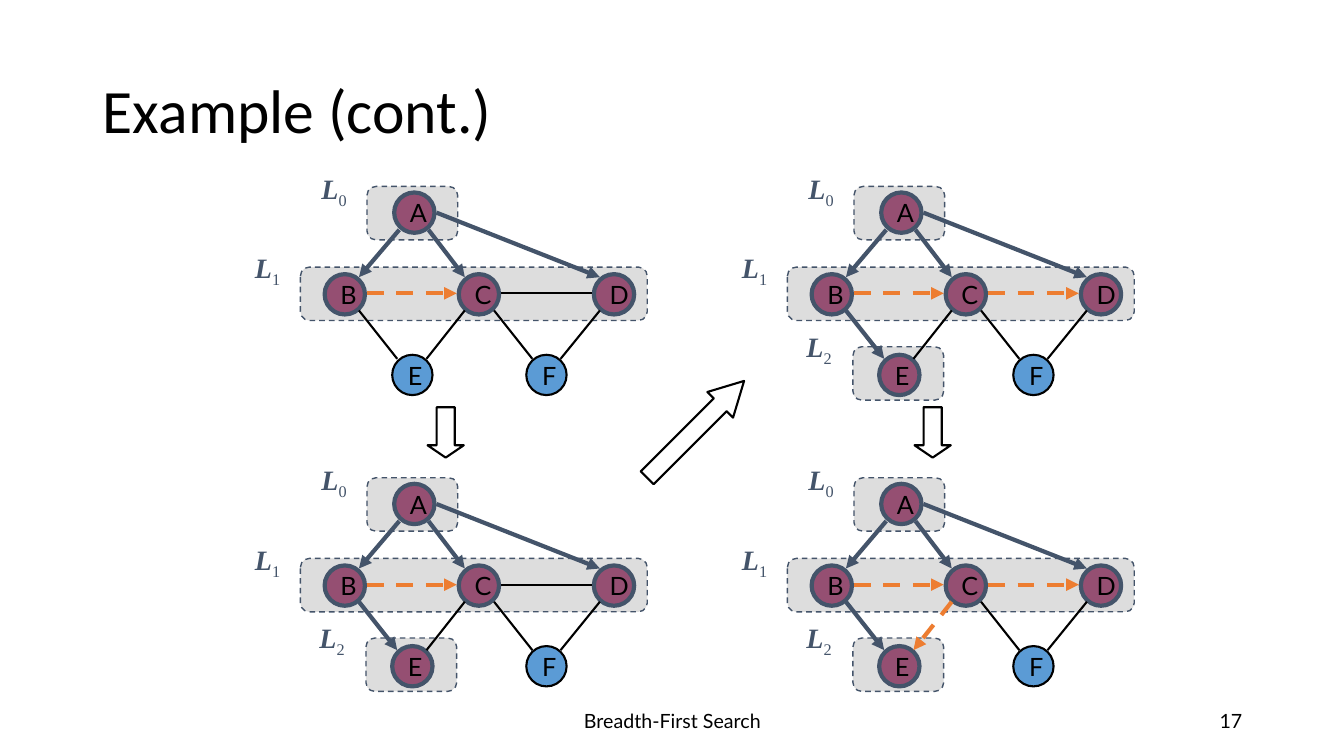
from lxml import etree
from pptx import Presentation
from pptx import util as u
from pptx.dml.color import RGBColor
from pptx.enum import dml, shapes, text
from pptx.oxml import ns

BLACK = RGBColor(0x00, 0x00, 0x00)
SLATE = RGBColor(0x44, 0x54, 0x6A)
ORANGE = RGBColor(0xED, 0x7D, 0x31)
PLUM = RGBColor(0x95, 0x4F, 0x72)
BLUE = RGBColor(0x5B, 0x9B, 0xD5)
GRAY = RGBColor(0xDD, 0xDD, 0xDD)

# Places in the first graph; the other graphs are shifted from it.
NODE_SIZE = 0.4
NODES = {"A": (3.91, 1.91), "B": (3.22, 2.72), "C": (4.55, 2.72),
         "D": (5.89, 2.72), "E": (3.89, 3.52), "F": (5.22, 3.52)}
EDGES = {
    "AB": (3.96, 2.28, 3.56, 2.75),
    "AC": (4.25, 2.28, 4.61, 2.75),
    "AD": (4.33, 2.11, 5.95, 2.75),
    "BC": (3.64, 2.91, 4.53, 2.91),
    "CD": (4.97, 2.91, 5.87, 2.91),
    "BE": (3.56, 3.08, 3.94, 3.56),
    "CE": (4.61, 3.08, 4.23, 3.56),
    "CF": (4.9, 3.08, 5.28, 3.56),
    "DF": (5.95, 3.08, 5.56, 3.56),
}
# Band left, top, width, then label left, top, for each level
LEVELS = [(3.64, 1.85, 0.9, 3.09, 1.65),
          (2.98, 2.65, 3.44, 2.43, 2.44),
          (3.63, 3.44, 0.9, 3.07, 3.22)]
BAND_HEIGHT = 0.53

COLUMN_STEP, ROW_STEP = 4.83, 2.89
# Column, row, discovery edges, cross edges
STEPS = [
    (0, 0, {"AB", "AC", "AD"}, {"BC"}),
    (0, 1, {"AB", "AC", "AD", "BE"}, {"BC"}),
    (1, 0, {"AB", "AC", "AD", "BE"}, {"BC", "CD"}),
    (1, 1, {"AB", "AC", "AD", "BE"}, {"BC", "CD", "CE"}),
]


class GraphSlide:
    title_font = {"name": "Calibri", "size": u.Pt(44)}
    footer_font = {"name": "Lato", "size": u.Pt(14)}
    node_font = {"name": "Lato", "size": u.Pt(18)}
    level_font = {"name": "Times New Roman", "size": u.Pt(20)}

    def __init__(self, deck):
        self.page = deck.slides.add_slide(deck.slide_layouts[5])

    def add_span(self, para, words, font, color=BLACK):
        span = para.add_run()
        span.text = words
        for name, value in font.items():
            setattr(span.font, name, value)
        span.font.color.rgb = color
        return span

    def outline(self, item, color, width, dash=None):
        item.line.color.rgb = color
        item.line.width = u.Pt(width)
        if dash:
            item.line.dash_style = dash

    def title(self, words, *place):
        box = self.page.shapes.title
        box.left, box.top, box.width, box.height = map(u.Inches, place)
        box.text_frame.vertical_anchor = text.MSO_ANCHOR.MIDDLE
        para = box.text_frame.paragraphs[0]
        para.alignment = text.PP_ALIGN.LEFT
        para.line_spacing = 0.9
        self.add_span(para, words, self.title_font)

    def footer(self, words, align, *place):
        box = self.page.shapes.add_textbox(*map(u.Inches, place))
        box.text_frame.word_wrap = True
        box.text_frame.vertical_anchor = text.MSO_ANCHOR.MIDDLE
        para = box.text_frame.paragraphs[0]
        para.alignment = align
        self.add_span(para, words, self.footer_font)

    def shape(self, holder, preset, fill, *place):
        box = holder.shapes.add_shape(preset, *map(u.Inches, place))
        box.shadow.inherit = False
        if fill is None:
            box.fill.background()
        else:
            box.fill.solid()
            box.fill.fore_color.rgb = fill
        return box

    def block_arrow(self, rotation, head, *place):
        arrow = self.shape(self.page, shapes.MSO_SHAPE.RIGHT_ARROW, None, *place)
        arrow.rotation = rotation
        arrow.adjustments[1] = head
        self.outline(arrow, BLACK, 1.5)

    def band(self, group, left, top, width):
        box = self.shape(group, shapes.MSO_SHAPE.ROUNDED_RECTANGLE, GRAY,
                         left, top, width, BAND_HEIGHT)
        self.outline(box, SLATE, 1, dml.MSO_LINE.DASH)

    def level_label(self, group, level, left, top):
        box = group.shapes.add_textbox(*map(u.Inches, (left, top, 0.51, 0.43)))
        box.text_frame.word_wrap = True
        box.text_frame.auto_size = text.MSO_AUTO_SIZE.SHAPE_TO_FIT_TEXT
        para = box.text_frame.paragraphs[0]
        self.add_span(para, "L", {**self.level_font, "bold": True, "italic": True}, SLATE)
        index = self.add_span(para, str(level), self.level_font, SLATE)
        index._r.get_or_add_rPr().set("baseline", "-25000")

    def node(self, group, letter, visited, left, top):
        circle = self.shape(group, shapes.MSO_SHAPE.OVAL, PLUM if visited else BLUE,
                            left, top, NODE_SIZE, NODE_SIZE)
        self.outline(circle, *((SLATE, 3) if visited else (BLACK, 1.5)))
        frame = circle.text_frame
        frame.word_wrap = False
        frame.vertical_anchor = text.MSO_ANCHOR.MIDDLE
        frame.paragraphs[0].alignment = text.PP_ALIGN.LEFT
        self.add_span(frame.paragraphs[0], letter, self.node_font)

    def edge(self, group, ends, color=BLACK, width=1.5, dash=None, arrow=False):
        line = group.shapes.add_connector(shapes.MSO_CONNECTOR.STRAIGHT,
                                          *map(u.Inches, ends))
        self.outline(line, color, width, dash)
        properties = line._element.spPr
        if arrow:
            etree.SubElement(properties.find(ns.qn("a:ln")), ns.qn("a:tailEnd"),
                             type="triangle")
        etree.SubElement(properties, ns.qn("a:effectLst"))

    def graph(self, column, row, discovery, cross):
        """Draw one step of the search at its place in the grid."""
        dx, dy = column * COLUMN_STEP, row * ROW_STEP
        group = self.page.shapes.add_group_shape()
        visited = {"A"} | {name[1] for name in discovery}
        levels = LEVELS if "E" in visited else LEVELS[:2]
        for left, top, width, *_ in levels:
            self.band(group, left + dx, top + dy, width)
        for letter, (left, top) in NODES.items():
            self.node(group, letter, letter in visited, left + dx, top + dy)
        for name, (x1, y1, x2, y2) in EDGES.items():
            look = {}
            if name in discovery:
                look = {"color": SLATE, "width": 3, "arrow": True}
            elif name in cross:
                look = {"color": ORANGE, "width": 3, "arrow": True,
                        "dash": dml.MSO_LINE.DASH}
            self.edge(group, (x1 + dx, y1 + dy, x2 + dx, y2 + dy), **look)
        for level, (*_, left, top) in enumerate(levels):
            self.level_label(group, level, left + dx, top + dy)


def main():
    deck = Presentation()
    deck.slide_width, deck.slide_height = u.Inches(13.33), u.Inches(7.5)
    slide = GraphSlide(deck)
    slide.title("Example (cont.)", 0.92, 0.4, 11.5, 1.45)
    slide.footer("Breadth-First Search", text.PP_ALIGN.CENTER, 4.42, 6.95, 4.5, 0.4)
    slide.footer("17", text.PP_ALIGN.RIGHT, 9.42, 6.95, 3, 0.4)
    for column in range(2):
        slide.block_arrow(90, 0.34, 4.17 + column * COLUMN_STEP, 4.11, 0.5, 0.36)
    slide.block_arrow(315, 0.93, 6.22, 4.08, 1.36, 0.36)
    for step in STEPS:
        slide.graph(*step)
    deck.save("out.pptx")


if __name__ == "__main__":
    main()
